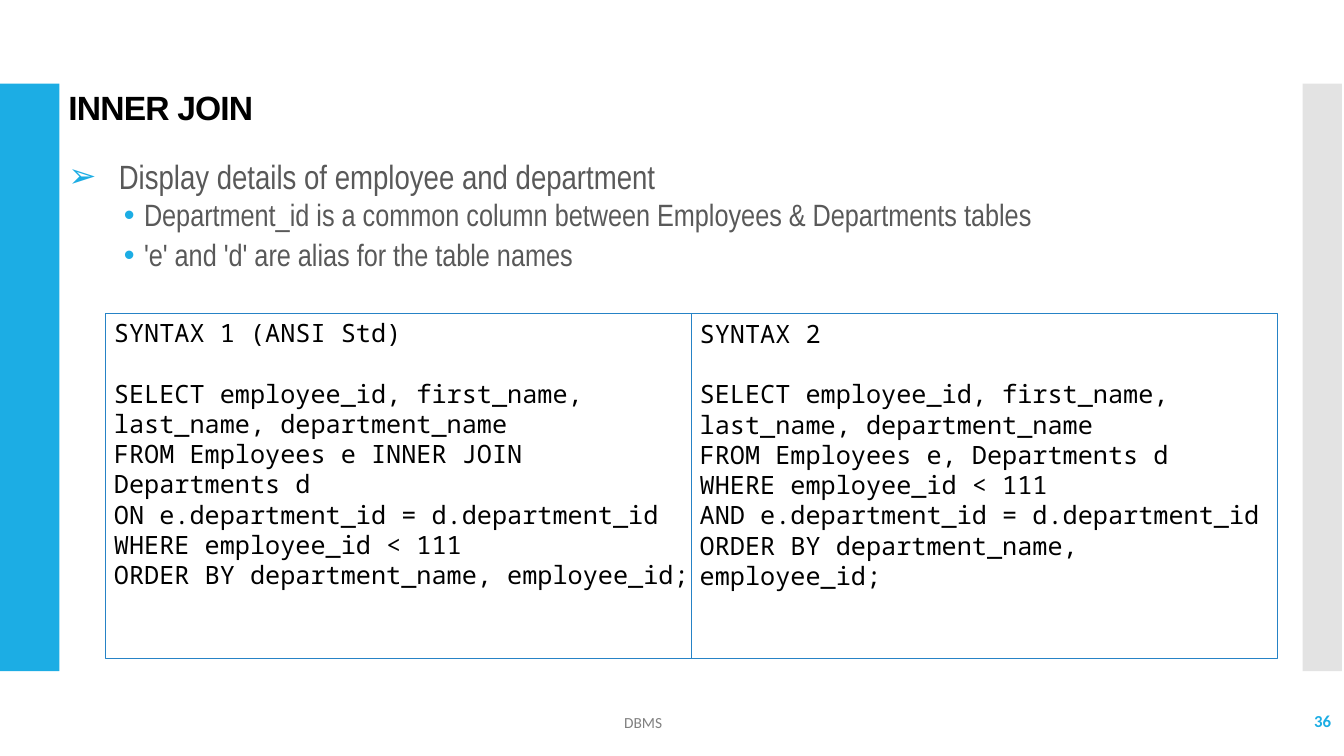
import pptx
import pptx.util
import pptx.dml.color
import pptx.enum.shapes
import pptx.enum.text
import pptx.oxml.ns
import lxml.etree

Inches = pptx.util.Inches
Pt = pptx.util.Pt
Align = pptx.enum.text.PP_ALIGN
Anchor = pptx.enum.text.MSO_ANCHOR

HUES = {
    "sky": "1CADE4",
    "pale": "E3E3E3",
    "white": "FFFFFF",
    "edge": "2683C6",
    "black": "000000",
    "text": "595959",
    "foot": "808080",
}


def hue(name):
    return pptx.dml.color.RGBColor.from_string(HUES[name])


def add_mark(props, mark, color):
    tint = lxml.etree.SubElement(props, pptx.oxml.ns.qn("a:buClr"))
    lxml.etree.SubElement(tint, pptx.oxml.ns.qn("a:srgbClr")).set("val", HUES[color])
    face = lxml.etree.SubElement(props, pptx.oxml.ns.qn("a:buFont"))
    face.set("typeface", "Arial")
    lxml.etree.SubElement(props, pptx.oxml.ns.qn("a:buChar")).set("char", mark)


def write(frame, text, size=18, font="Arial", color="black", bold=False,
          align=Align.LEFT, line=1.0, before=0, after=0,
          mark=None, left=0, hang=0, track=None):
    para = frame.paragraphs[0]
    if para.runs:
        para = frame.add_paragraph()
    para.alignment = align
    para.line_spacing = line
    para.space_before = Pt(before)
    para.space_after = Pt(after)
    if mark:
        props = para._p.get_or_add_pPr()
        props.set("marL", str(Inches(left)))
        props.set("indent", str(-Inches(hang)))
        add_mark(props, mark, "sky")
    run = para.add_run()
    run.text = text
    run.font.size = Pt(size)
    run.font.name = font
    run.font.bold = bold
    run.font.color.rgb = hue(color)
    if track:
        run.font._element.set("spc", str(track))


class Deck:
    mono = "Noto Sans Mono"
    body = "Arial Narrow"
    foot = "Calibri"

    def __init__(self):
        self.file = pptx.Presentation()
        self.file.slide_width = Inches(13.33)
        self.file.slide_height = Inches(7.5)
        self.slide = self.file.slides.add_slide(self.file.slide_layouts[6])

    def block(self, x, y, w, h, fill, edge=None):
        kind = pptx.enum.shapes.MSO_SHAPE.RECTANGLE
        shape = self.slide.shapes.add_shape(
            kind, Inches(x), Inches(y), Inches(w), Inches(h))
        shape.shadow.inherit = False
        shape.fill.solid()
        shape.fill.fore_color.rgb = hue(fill)
        if edge:
            shape.line.color.rgb = hue(edge)
            shape.line.width = Pt(0.85)
        else:
            shape.line.fill.background()
        return shape

    def label(self, x, y, w, h, anchor=Anchor.TOP):
        box = self.slide.shapes.add_textbox(
            Inches(x), Inches(y), Inches(w), Inches(h))
        frame = box.text_frame
        frame.word_wrap = True
        frame.vertical_anchor = anchor
        return frame

    def code(self, x, y, w, h, head, lines, right, top):
        frame = self.block(x, y, w, h, "white", "edge").text_frame
        frame.word_wrap = True
        frame.vertical_anchor = Anchor.TOP
        frame.margin_left = Inches(0.08)
        frame.margin_right = Inches(right)
        frame.margin_top = frame.margin_bottom = Inches(top)
        write(frame, head, font=self.mono, after=21.5)
        for line in lines:
            write(frame, line, font=self.mono)


def main():
    deck = Deck()
    deck.block(0, 0.83, 0.59, 5.83, "sky")
    deck.block(12.92, 0.83, 0.39, 5.83, "pale")

    title = deck.label(0.58, 0.86, 10.44, 0.4)
    write(title, "INNER JOIN", size=24, bold=True, line=0.9, track=-60)

    points = deck.label(0.58, 1.54, 11.62, 1.35)
    write(points, "Display details of employee and department", size=24,
          font=deck.body, color="text", line=0.9, mark="➢", left=0.5, hang=0.5)
    for text in (
        "Department_id is a common column between Employees & Departments tables",
        "'e' and 'd' are alias for the table names",
    ):
        write(points, text, size=22, font=deck.body, color="text", line=0.9,
              before=2.5, after=2.5, mark="•", left=0.75, hang=0.2)

    pick = "SELECT employee_id, first_name, last_name, department_name"
    where = "WHERE employee_id < 111"
    match = "e.department_id = d.department_id"
    order = "ORDER BY department_name, employee_id;"
    panes = (
        ("SYNTAX 1 (ANSI Std)",
         (pick, "FROM Employees e INNER JOIN Departments d",
          "ON " + match, where, order), 0, 0.04),
        ("SYNTAX 2",
         (pick, "FROM Employees e, Departments d",
          where, "AND " + match, order), 0.1, 0.05),
    )
    wide = 5.81
    for i, (head, lines, right, top) in enumerate(panes):
        deck.code(1.05 + i * wide, 3.11, wide, 3.42, head, lines, right, top)

    page = deck.label(11.63, 6.95, 1.67, 0.4, Anchor.MIDDLE)
    write(page, "36", size=12, font=deck.foot, color="sky", bold=True,
          align=Align.RIGHT)
    foot = deck.label(3.15, 6.97, 6.46, 0.4, Anchor.MIDDLE)
    write(foot, "DBMS", size=11, font=deck.foot, color="foot",
          align=Align.CENTER)

    deck.file.save("out.pptx")


if __name__ == "__main__":
    main()
